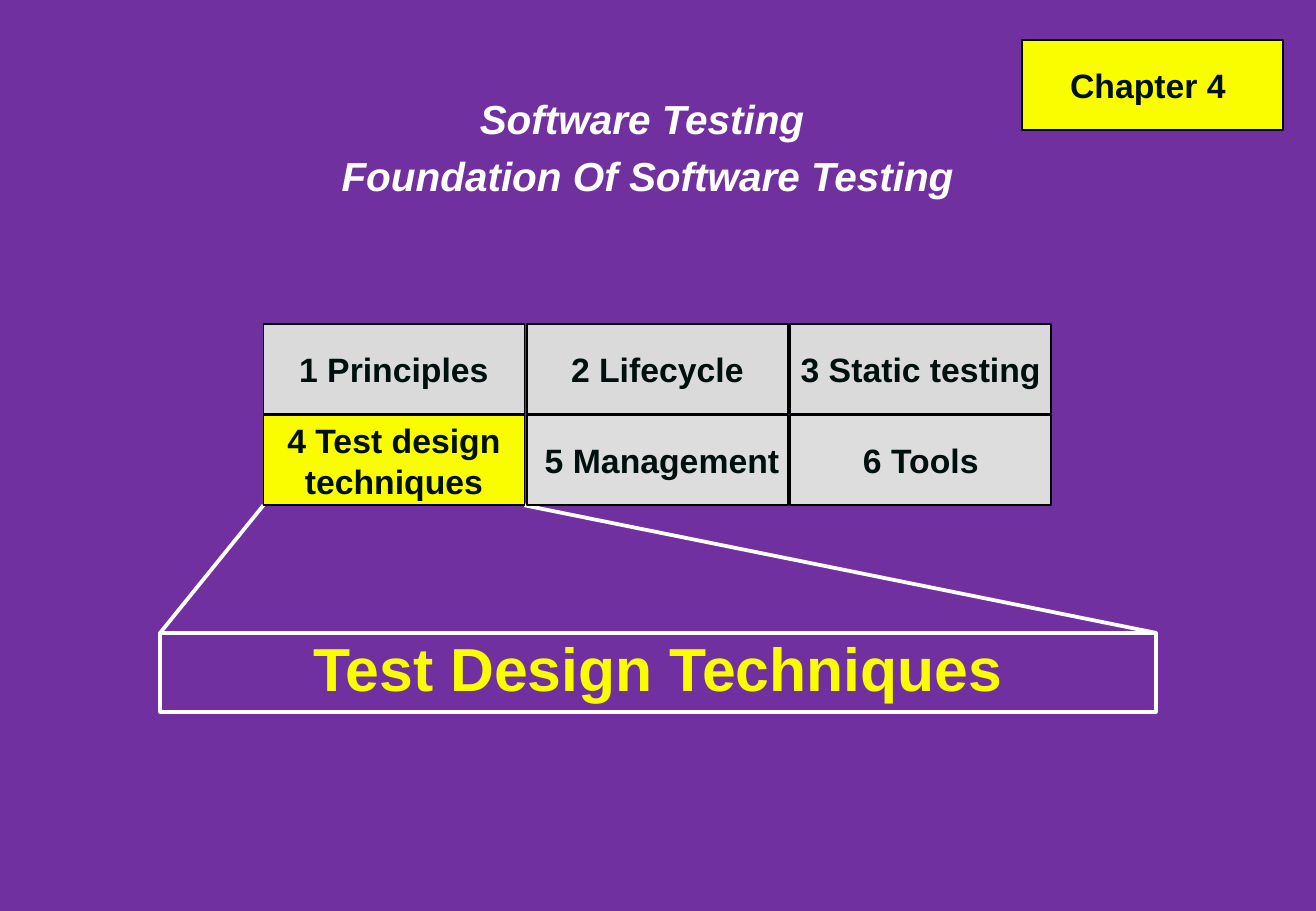
from pptx import Presentation
from pptx.dml.color import RGBColor
from pptx.enum.shapes import MSO_CONNECTOR, MSO_SHAPE
from pptx.enum.text import MSO_ANCHOR, PP_ALIGN
from pptx.oxml.ns import qn
from pptx.util import Inches, Pt
from lxml.etree import SubElement

COLORS = {
    "background": "7030A0", "yellow": "FAFD00", "white": "FFFFFF",
    "black": "000000", "ink": "00100E", "grey": "DADADA", "light": "DDDDDD",
}
CELL_W, CELL_H = 2.15, 0.74
COL_STEP, ROW_STEP = 2.17, 0.75
CHAPTERS = [
    [("1 Principles", "grey"), ("2 Lifecycle", "grey"), ("3 Static testing", "grey")],
    [("4 Test design\ntechniques", "yellow"), (" 5 Management", "light"), ("6 Tools", "light")],
]


def color(name):
    return RGBColor.from_string(COLORS[name])


def write(tf, paragraphs, ink, spacing=1.0, **fmt):
    """Fill a text frame with centred bold Arial paragraphs."""
    for i, text in enumerate(paragraphs):
        p = tf.paragraphs[0] if i == 0 else tf.add_paragraph()
        p.text, p.alignment, p.line_spacing = text, PP_ALIGN.CENTER, spacing
        for r in p.runs:
            for key, value in {"name": "Arial", "bold": True, **fmt}.items():
                setattr(r.font, key, value)
            r.font.color.rgb = color(ink)


def add_box(slide, box, text, fill=None, line="black", width=1, ink="ink",
            size=20, spacing=1.0, wrap=False):
    sp = slide.shapes.add_shape(MSO_SHAPE.RECTANGLE, *map(Inches, box))
    sp.shadow.inherit = False
    if fill:
        sp.fill.solid()
        sp.fill.fore_color.rgb = color(fill)
    else:
        sp.fill.background()
    sp.line.color.rgb, sp.line.width = color(line), Pt(width)
    tf = sp.text_frame
    tf.word_wrap, tf.vertical_anchor = wrap, MSO_ANCHOR.MIDDLE
    write(tf, [text], ink, spacing, size=Pt(size))


def add_line(slide, start, end):
    ln = slide.shapes.add_connector(MSO_CONNECTOR.STRAIGHT, *map(Inches, start + end))
    ln.line.color.rgb, ln.line.width = color("white"), Pt(2.25)
    SubElement(ln._element.spPr, qn("a:effectLst"))


def add_heading(slide, box):
    tf = slide.shapes.add_textbox(*map(Inches, box)).text_frame
    margins = {"margin_left": 0.07, "margin_right": 0.07,
               "margin_top": 0.03, "margin_bottom": 0.03}
    for key, value in margins.items():
        setattr(tf, key, Inches(value))
    tf.word_wrap = True
    write(tf, ["Software Testing ", "Foundation Of Software Testing"], "white",
          spacing=1.18, size=Pt(24), italic=True)


def add_chapter_grid(slide, left, top):
    for row, cells in enumerate(CHAPTERS):
        for col, (text, fill) in enumerate(cells):
            box = (left + col * COL_STEP, top + row * ROW_STEP, CELL_W, CELL_H)
            add_box(slide, box, text, fill)


def add_callout(slide, box, cell_left, cell_bottom):
    """Title frame joined to the lower corners of the current chapter's cell."""
    left, top, width, _ = box
    add_box(slide, box, "Test Design Techniques", line="white", width=2.25,
            ink="yellow", size=36, spacing=0.88, wrap=True)
    add_line(slide, (cell_left, cell_bottom), (left, top))
    add_line(slide, (left + width, top), (cell_left + CELL_W, cell_bottom))


def main():
    prs = Presentation()
    prs.slide_width, prs.slide_height = Inches(10.84), Inches(7.5)
    slide = prs.slides.add_slide(prs.slide_layouts[6])
    slide.background.fill.solid()
    slide.background.fill.fore_color.rgb = color("background")

    # Callout sits behind the chapter grid
    grid_left, grid_top = 2.17, 2.67
    add_callout(slide, (1.32, 5.21, 8.2, 0.65), grid_left, grid_top + ROW_STEP + CELL_H)
    add_chapter_grid(slide, grid_left, grid_top)

    # Heading and chapter badge
    add_heading(slide, (1, 0.67, 8.67, 1))
    add_box(slide, (8.42, 0.33, CELL_W, CELL_H), "Chapter 4 ", "yellow")

    prs.save("out.pptx")


if __name__ == "__main__":
    main()
